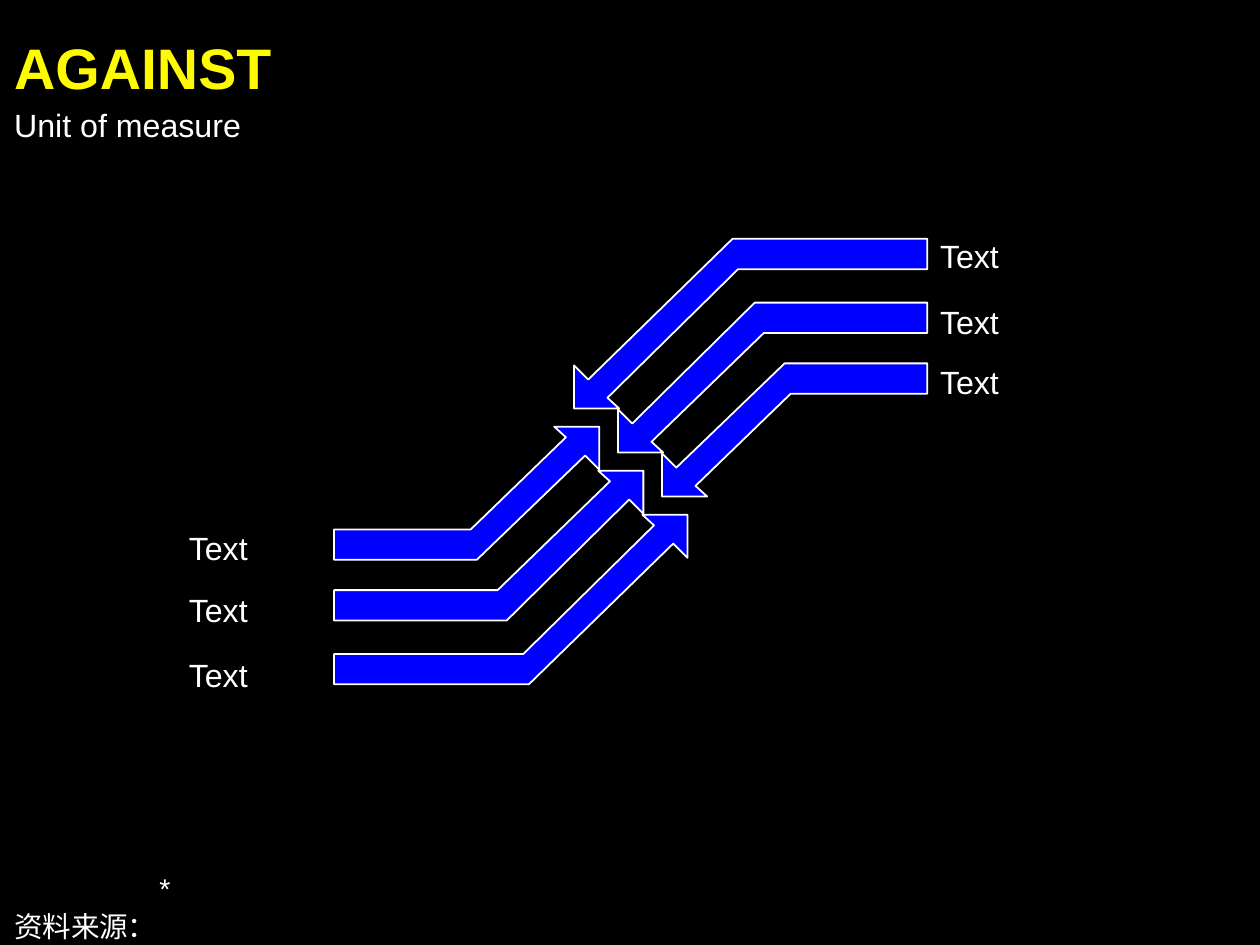
import pptx
import pptx.util
import pptx.dml.color
import pptx.enum.text

Cm = pptx.util.Cm
Pt = pptx.util.Pt
ANCHOR = pptx.enum.text.MSO_ANCHOR

COLORS = {"background": "000000", "arrow": "0000FE", "white": "FFFFFF", "title": "FEFB00"}
TAIL_X = 6.6
BAND = 0.6
TURN_X, TURN_Y = 24.92, 18.24
HEAD = [(-0.66, 0.21), (-0.89, 0), (0, 0), (0, 0.85), (-0.28, 0.57)]
ARROWS = [(10.46, 9.3, 9.42), (11.66, 9.83, 10.01), (12.92, 10.34, 10.45)]
LEFT_LABELS = [10.44, 11.66, 12.95]
RIGHT_LABELS = [4.67, 5.97, 7.16]


def rgb(name):
    return pptx.dml.color.RGBColor.from_string(COLORS[name])


def write(sp, text, size=18, color="white", bold=False, anchor=ANCHOR.TOP, after=0):
    tf = sp.text_frame
    tf.word_wrap = True
    tf.vertical_anchor = anchor
    tf.margin_left = tf.margin_right = tf.margin_top = tf.margin_bottom = 0
    tf.text = text
    for p in tf.paragraphs:
        p.alignment = pptx.enum.text.PP_ALIGN.LEFT
        p.space_after = Pt(after)
        for r in p.runs:
            r.font.name = "Arial"
            r.font.size = Pt(size)
            r.font.bold = bold
            r.font.color.rgb = rgb(color)
    return tf


def add_title(s, text):
    sp = s.shapes.title
    sp.left, sp.top, sp.width, sp.height = Cm(0.28), Cm(0.64), Cm(24.16), Cm(1.35)
    write(sp, text, size=32, color="title", bold=True, anchor=ANCHOR.BOTTOM)


def add_text(s, text, x, y, w, h=0.76, **fmt):
    return write(s.shapes.add_textbox(Cm(x), Cm(y), Cm(w), Cm(h)), text, **fmt)


def arrow_points(index, tail_y, inner_x, outer_x):
    tip_x, tip_y = 11.84 + 0.87 * index, 8.43 + 0.87 * index
    head = [(tip_x + dx, tip_y + dy) for dx, dy in HEAD]
    return [(TAIL_X, tail_y), (inner_x, tail_y), *head,
            (outer_x, tail_y + BAND), (TAIL_X, tail_y + BAND)]


def add_arrow(s, points):
    pts = [(Cm(x), Cm(y)) for x, y in points]
    builder = s.shapes.build_freeform(*pts[0])
    builder.add_line_segments(pts[1:], close=True)
    sp = builder.convert_to_shape()
    sp.shadow.inherit = False
    sp.fill.solid()
    sp.fill.fore_color.rgb = rgb("arrow")
    sp.line.color.rgb = rgb("white")
    sp.line.width = Pt(1)


def main():
    prs = pptx.Presentation()
    prs.slide_width, prs.slide_height = Cm(24.89), Cm(18.67)
    s = prs.slides.add_slide(prs.slide_layouts[5])
    s.background.fill.solid()
    s.background.fill.fore_color.rgb = rgb("background")

    add_title(s, "AGAINST")
    add_text(s, "Unit of measure", 0.28, 2.08, 18.39)

    outlines = [arrow_points(i, *arrow) for i, arrow in enumerate(ARROWS)]
    for points in outlines:
        add_arrow(s, points)
    for points in outlines:
        add_arrow(s, [(TURN_X - x, TURN_Y - y) for x, y in points])

    for x, w, tops in ((3.73, 2.54, LEFT_LABELS), (18.57, 2.82, RIGHT_LABELS)):
        for y in tops:
            add_text(s, "Text", x, y, w)

    tf = add_text(s, "*\n资料来源：", 0.28, 17.22, 23.93, 1.42,
                  size=16, anchor=ANCHOR.BOTTOM, after=2)
    tf.paragraphs[0]._p.get_or_add_pPr().set("marL", str(Cm(2.87)))

    prs.save("out.pptx")


if __name__ == "__main__":
    main()
